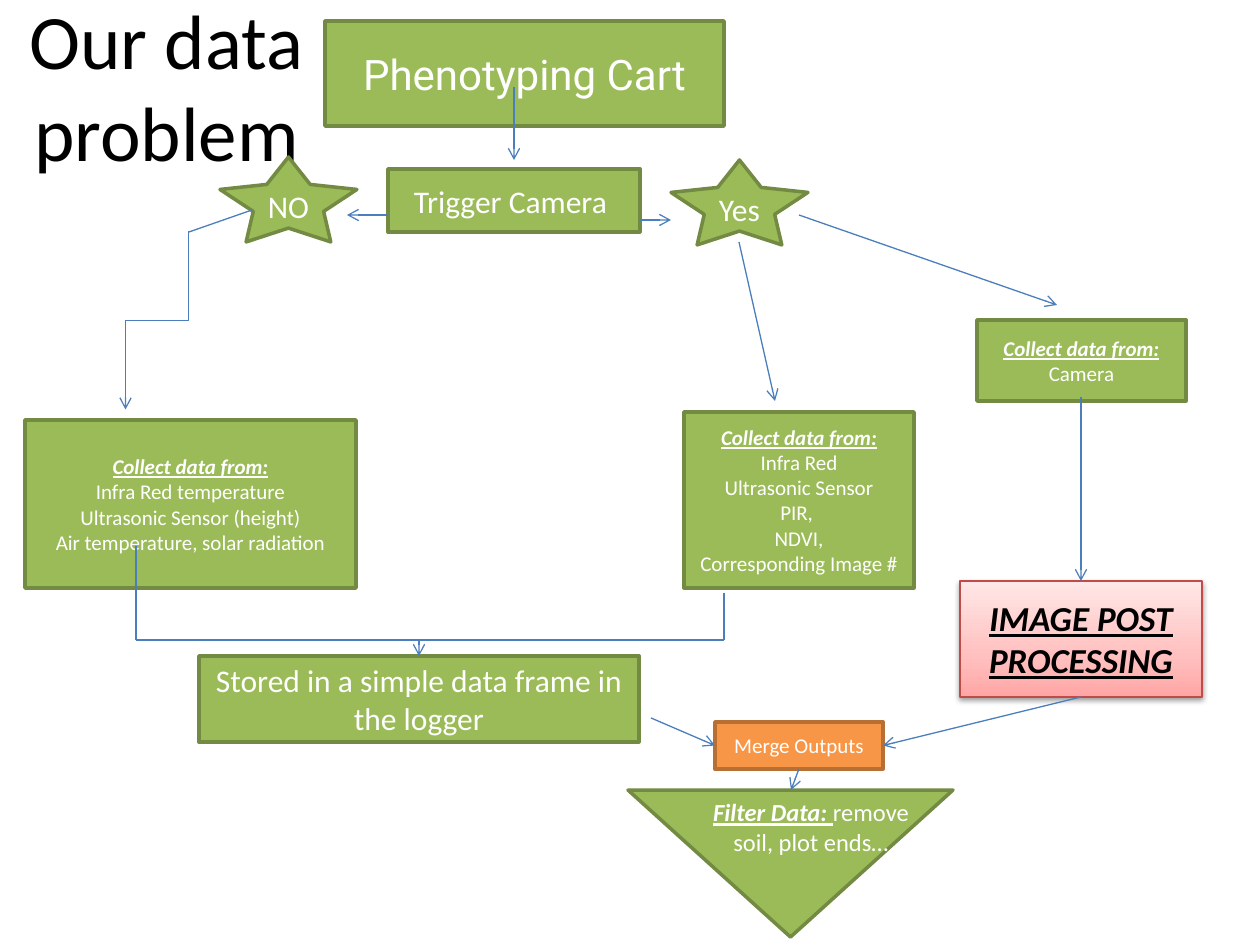
from copy import deepcopy

from lxml import etree
from pptx import Presentation
from pptx.dml.color import RGBColor
from pptx.enum.shapes import MSO_CONNECTOR, MSO_SHAPE
from pptx.enum.text import MSO_ANCHOR, PP_ALIGN
from pptx.oxml import parse_xml
from pptx.oxml.ns import qn
from pptx.util import Pt

RECT, STAR, TRIANGLE = MSO_SHAPE.RECTANGLE, MSO_SHAPE.STAR_5_POINT, MSO_SHAPE.ISOSCELES_TRIANGLE
STRAIGHT, ELBOW = MSO_CONNECTOR.STRAIGHT, MSO_CONNECTOR.ELBOW
TOP, LEFT, BOTTOM, RIGHT = range(4)
PX = 914400 / 126
COLORS = {
    "green": "9BBB59", "green_line": "738A42",
    "orange": "F79646", "orange_line": "B76F34",
    "red_line": "BF4C48", "blue": "4B7EBC",
    "white": "FFFFFF", "black": "000000",
}
PINK_STOPS = [(0, "FFA6A5"), (0.35, "FFC0BF"), (1, "FFE7E7")]
HEADINGS = {"Collect data from:", "Filter Data: ", "IMAGE POST PROCESSING"}
SHADOW = (
    '<a:effectLst xmlns:a="http://schemas.openxmlformats.org/drawingml/2006/main">'
    '<a:outerShdw blurRad="40000" dist="20000" dir="5400000" rotWithShape="0">'
    '<a:srgbClr val="000000"><a:alpha val="38000"/></a:srgbClr>'
    '</a:outerShdw></a:effectLst>'
)


def emu(*lengths):
    return [round(n * PX) for n in lengths]


def write(tf, text, size, color="white", font="Calibri"):
    """Fill a text frame: newlines part paragraphs, bars part runs."""
    tf.word_wrap = True
    for i, line in enumerate(text.split("\n")):
        p = tf.add_paragraph() if i else tf.paragraphs[0]
        p.alignment = PP_ALIGN.CENTER
        p.font.size = Pt(size)
        p.font.name = font
        p.font.color.rgb = RGBColor.from_string(COLORS[color])
        for part in line.split("|"):
            r = p.add_run()
            r.text = part
            if part in HEADINGS:
                r.font.bold = r.font.italic = r.font.underline = True


prs = Presentation()
prs.slide_width, prs.slide_height = emu(1260, 945)
s = prs.slides.add_slide(prs.slide_layouts[6])

title = s.shapes.add_textbox(*emu(-59, -73, 451, 315)).text_frame
title.vertical_anchor = MSO_ANCHOR.MIDDLE
write(title, "Our data problem", 44, "black")

# Flowchart nodes: name, shape, (left, top, width, height), colour, size, text
nodes = [
    ("cart", RECT, (325, 21, 399, 105), "green", 24, "Phenotyping Cart"),
    ("trigger", RECT, (388, 169, 252, 63), "green", 18, "Trigger Camera "),
    ("no", STAR, (220, 157, 137, 85), "green", 18, "NO"),
    ("yes", STAR, (671, 160, 137, 85), "green", 18, "Yes"),
    ("sensors", RECT, (25, 420, 331, 168), "green", 12,
     "Collect data from:\nInfra Red temperature\nUltrasonic Sensor (height)\n"
     "Air temperature, solar radiation"),
    ("all_sensors", RECT, (684, 412, 230, 176), "green", 12,
     "Collect data from:\nInfra Red\nUltrasonic Sensor\nPIR, \nNDVI,\n"
     "Corresponding Image #"),
    ("camera", RECT, (977, 320, 209, 81), "green", 12, "Collect data from:\nCamera"),
    ("stored", RECT, (199, 656, 440, 86), "green", 18,
     "Stored in a simple data frame in the logger"),
    ("filter", TRIANGLE, (628, 790, 325, 147), "green", 14, ""),
    ("merge", RECT, (715, 722, 168, 47), "orange", 12, "Merge Outputs"),
    ("processing", RECT, (960, 581, 242, 116), "red", 20, "IMAGE POST PROCESSING"),
]
shapes = {}
for name, kind, box, color, size, text in nodes:
    sp = s.shapes.add_shape(kind, *emu(*box))
    shapes[name] = sp
    sp.shadow.inherit = False
    sp.line.color.rgb = RGBColor.from_string(COLORS[color + "_line"])
    sp.line.width = Pt(2)
    if color != "red":
        sp.fill.solid()
        sp.fill.fore_color.rgb = RGBColor.from_string(COLORS[color])
    if text:
        write(sp.text_frame, text, size, "black" if color == "red" else "white",
              "Roboto" if name == "cart" else "Calibri")
    if kind == STAR:
        sp.adjustments[0] = 0.257
        sp.text_frame.word_wrap = False
shapes["filter"].rotation = 180

# Pink gradient and soft shadow of the processing box
sp = shapes["processing"]
sp.line.width = Pt(0.75)
sp.fill.gradient()
sp.fill.gradient_angle = 90
gs_list = sp._element.spPr.find(qn("a:gradFill")).find(qn("a:gsLst"))
gs_list.append(deepcopy(gs_list[-1]))
for stop, (position, color) in zip(sp.fill.gradient_stops, PINK_STOPS):
    stop.position = position
    stop.color.rgb = RGBColor.from_string(color)
effects = sp._element.spPr.find(qn("a:effectLst"))
effects.getparent().replace(effects, parse_xml(SHADOW))

note = s.shapes.add_textbox(*emu(690, 791, 242, 102))
write(note.text_frame, "Filter Data: |remove soil, plot ends…", 14)

# Connectors: kind, (x1, y1, x2, y2), arrowhead, joined start, joined end
links = [
    (STRAIGHT, (514, 87, 514, 160), True, None, None),
    (STRAIGHT, (388, 215, 347, 215), True, None, None),
    (STRAIGHT, (640, 220, 671, 220), True, None, None),
    (STRAIGHT, (189, 232, 252, 210), False, None, None),
    (ELBOW, (68, 289, 246, 352), True, None, None),
    (STRAIGHT, (739, 242, 775, 401), True, None, None),
    (STRAIGHT, (799, 215, 1057, 305), True, None, None),
    (STRAIGHT, (136, 546, 136, 640), False, None, None),
    (STRAIGHT, (136, 640, 724, 640), False, None, None),
    (STRAIGHT, (724, 593, 724, 640), False, None, None),
    (STRAIGHT, (419, 640, 419, 656), True, None, ("stored", TOP)),
    (STRAIGHT, (1081, 397, 1081, 581), True, None, ("processing", TOP)),
    (STRAIGHT, (1081, 697, 883, 746), True, ("processing", BOTTOM), ("merge", RIGHT)),
    (STRAIGHT, (651, 718, 715, 746), True, None, ("merge", LEFT)),
    (STRAIGHT, (799, 769, 791, 790), True, ("merge", BOTTOM), None),
]
for kind, ends, arrow, start, end in links:
    c = s.shapes.add_connector(kind, *emu(*ends))
    c.line.color.rgb = RGBColor.from_string(COLORS["blue"])
    c.line.width = Pt(0.75)
    if start:
        c.begin_connect(shapes[start[0]], start[1])
    if end:
        c.end_connect(shapes[end[0]], end[1])
    spPr = c._element.spPr
    if arrow:
        etree.SubElement(spPr.find(qn("a:ln")), qn("a:tailEnd"), type="arrow")
    if kind == ELBOW:
        # A quarter turn makes the elbow leave downwards
        spPr.find(qn("a:xfrm")).set("rot", "5400000")
    etree.SubElement(spPr, qn("a:effectLst"))

prs.save("out.pptx")
